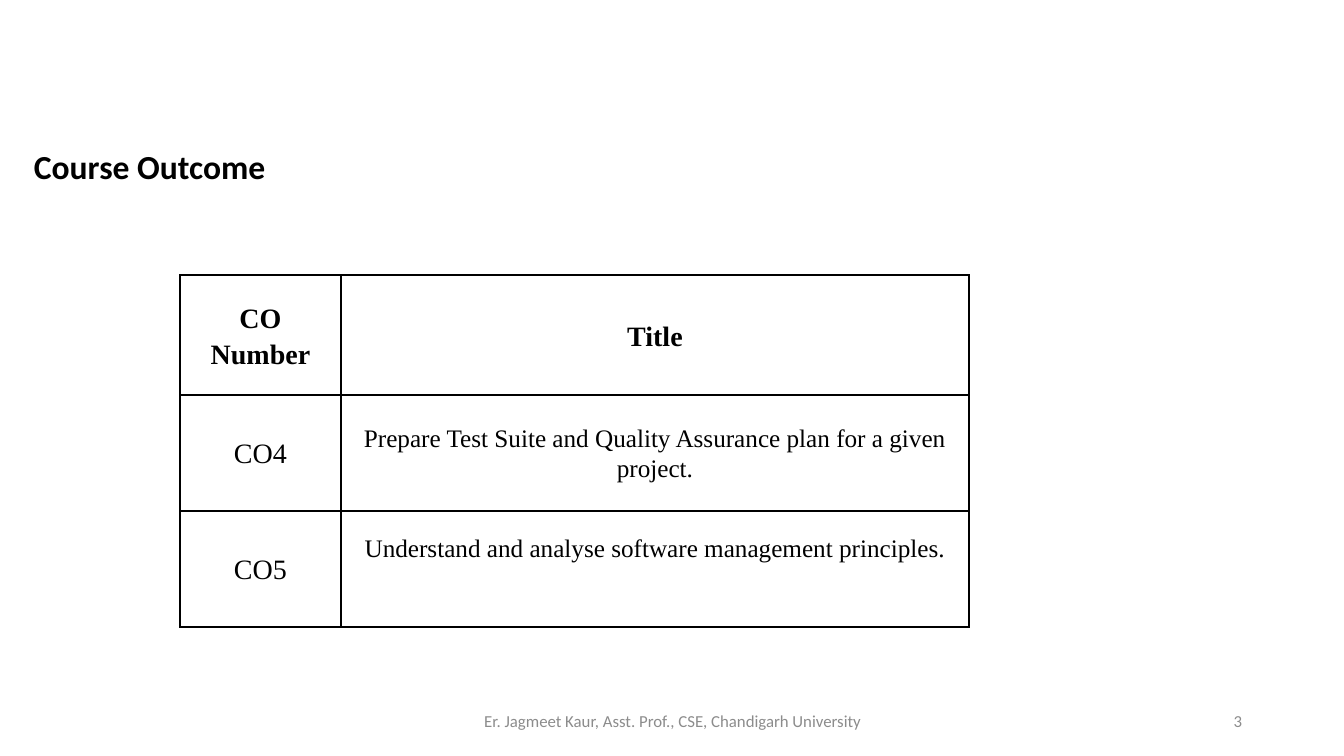
"""Build the course outcome slide."""
import pptx
import pptx.dml.color
import pptx.enum.text
import pptx.util
from pptx.oxml import parse_xml
from pptx.oxml.ns import nsdecls

ALIGN = pptx.enum.text.PP_ALIGN
ANCHOR = pptx.enum.text.MSO_ANCHOR
BLACK = pptx.dml.color.RGBColor(0, 0, 0)
GREY = pptx.dml.color.RGBColor(0x8C, 0x8C, 0x8C)

ROWS = [
    ("CO Number", "Title"),
    ("CO4", "Prepare Test Suite and Quality Assurance plan for a given project."),
    ("CO5", "Understand and analyse software management principles."),
]
SIZES = [(20, 20), (20, 18), (20, 18)]
COLS = [161, 628]
HEIGHTS = [120, 116, 116]
LEFT, TOP = 180, 275
INSET = 7
LIFT = 42

LABELS = [
    ("Course Outcome", (24, 141, 262, 50), 24, True, BLACK, ALIGN.LEFT, ANCHOR.TOP),
    ("3", (950, 701, 302, 40), 12, False, GREY, ALIGN.RIGHT, ANCHOR.MIDDLE),
    ("Er. Jagmeet Kaur, Asst. Prof., CSE, Chandigarh University",
     (446, 701, 454, 40), 12, False, GREY, ALIGN.CENTER, ANCHOR.MIDDLE),
]


def px(num):
    return pptx.util.Emu(round(num * 914400 / 100.8))


def style(para, face, size, bold, color, align):
    para.alignment = align
    for run in para.runs:
        run.font.name = face
        run.font.size = pptx.util.Pt(size)
        run.font.bold = bold
        run.font.color.rgb = color


def border(cell):
    props = cell._tc.get_or_add_tcPr()
    for spot, side in enumerate(("lnL", "lnR", "lnT", "lnB")):
        props.insert(spot, parse_xml(
            f'<a:{side} {nsdecls("a")} w="12700"><a:solidFill>'
            f'<a:srgbClr val="{BLACK}"/></a:solidFill></a:{side}>'))


def add_grid(slide):
    frame = slide.shapes.add_table(
        len(ROWS), len(COLS), px(LEFT), px(TOP), px(sum(COLS)), px(sum(HEIGHTS)))
    table = frame.table
    for col, width in zip(table.columns, COLS):
        col.width = px(width)
    for row, height in zip(table.rows, HEIGHTS):
        row.height = px(height)
    for i, texts in enumerate(ROWS):
        for j, text in enumerate(texts):
            cell = table.cell(i, j)
            cell.fill.background()
            cell.vertical_anchor = ANCHOR.MIDDLE
            cell.margin_left = cell.margin_right = px(INSET)
            cell.margin_top = 0
            cell.margin_bottom = px(LIFT) if (i, j) == (2, 1) else 0
            cell.text_frame.text = text
            para = cell.text_frame.paragraphs[0]
            para.line_spacing = 1.07 if i else 1.15
            para.space_after = pptx.util.Pt(8 if i else 0)
            style(para, "Times New Roman", SIZES[i][j], i == 0, BLACK, ALIGN.CENTER)
            border(cell)


def add_label(slide, text, place, size, bold, color, align, anchor):
    box = slide.shapes.add_textbox(*map(px, place))
    frame = box.text_frame
    frame.text = text
    frame.word_wrap = anchor == ANCHOR.MIDDLE
    frame.vertical_anchor = anchor
    style(frame.paragraphs[0], "Calibri", size, bold, color, align)


def main():
    deck = pptx.Presentation()
    deck.slide_width, deck.slide_height = px(1344), px(756)
    slide = deck.slides.add_slide(deck.slide_layouts[6])
    add_grid(slide)
    for label in LABELS:
        add_label(slide, *label)
    deck.save("out.pptx")


if __name__ == "__main__":
    main()
